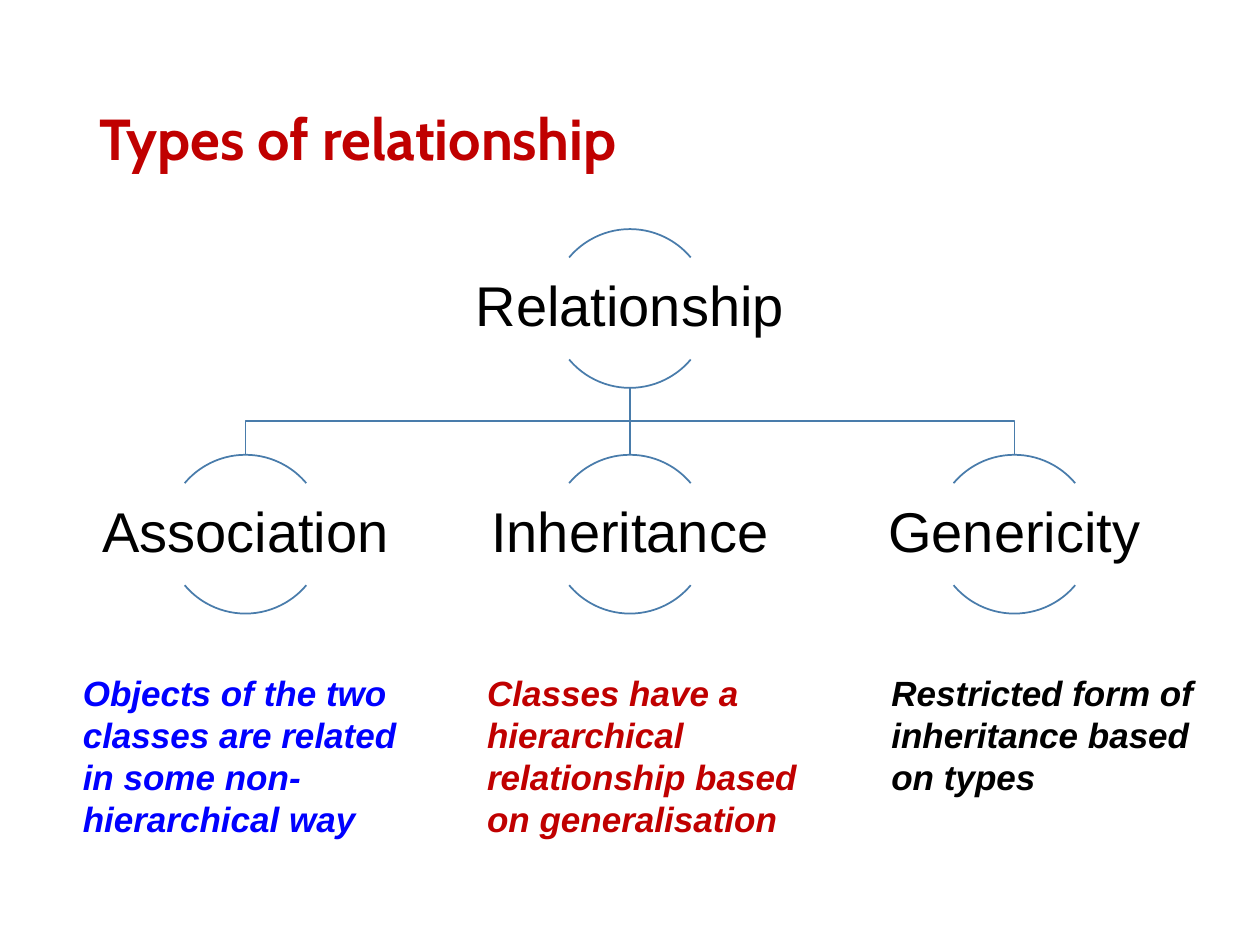
import pptx
import pptx.util
import pptx.dml.color
import pptx.enum.shapes
import pptx.enum.text
import lxml.etree
from pptx.util import Cm, Pt

COLORS = {"red": "C00000", "blue": "0000FF", "black": "000000", "line": "497CAB"}
ALIGN = pptx.enum.text.PP_ALIGN
ANCHOR = pptx.enum.text.MSO_ANCHOR
SHAPE = pptx.enum.shapes.MSO_SHAPE
LINK = pptx.enum.shapes.MSO_CONNECTOR


def rgb(name):
    return pptx.dml.color.RGBColor.from_string(COLORS[name])


class Diagram:
    """Holds the slide and the shared style."""
    DIAMETER = 3.2
    LABEL_W, LABEL_H = 6.4, 2.06
    ARCS = ((132, 192), (24, 84))  # top and bottom arc

    def __init__(self, s):
        self.s = s

    def outline(self, sp):
        sp.line.color.rgb = rgb("line")
        sp.line.width = Pt(1)

    def text(self, text, x, y, w, h, color="black", inset=None, frame=None, para=None, font=None):
        tf = self.s.shapes.add_textbox(Cm(x), Cm(y), Cm(w), Cm(h)).text_frame
        frame_format = {"word_wrap": True, **(frame or {})}
        if inset is not None:
            for side in ("left", "top", "right", "bottom"):
                frame_format["margin_" + side] = Cm(inset)
        p = tf.paragraphs[0]
        r = p.add_run()
        r.text = text
        r.font.color.rgb = rgb(color)
        for target, values in ((tf, frame_format), (p, para), (r.font, font)):
            for name, value in (values or {}).items():
                setattr(target, name, value)

    def node(self, text, cx, top):
        d = self.DIAMETER
        for angles in self.ARCS:
            sp = self.s.shapes.add_shape(SHAPE.ARC, Cm(cx - d / 2), Cm(top), Cm(d), Cm(d))
            sp.shadow.inherit = False
            sp.fill.background()
            self.outline(sp)
            for i, angle in enumerate(angles):
                sp.adjustments[i] = angle
        self.text(text, cx - self.LABEL_W / 2, top + (d - self.LABEL_H) / 2,
                  self.LABEL_W, self.LABEL_H, inset=0.05,
                  frame={"vertical_anchor": ANCHOR.MIDDLE},
                  para={"alignment": ALIGN.CENTER, "line_spacing": 0.9},
                  font={"name": "Arial", "size": Pt(32)})

    def branch(self, x1, y1, x2, y2):
        if x1 == x2:
            sp = self.s.shapes.add_connector(LINK.STRAIGHT, Cm(x1), Cm(y1), Cm(x2), Cm(y2))
            lxml.etree.SubElement(sp._element.spPr, pptx.oxml.ns.qn("a:effectLst"))
        else:
            mid = (y1 + y2) / 2
            fb = self.s.shapes.build_freeform(Cm(x1), Cm(y1))
            fb.add_line_segments([(Cm(x), Cm(y)) for x, y in ((x1, mid), (x2, mid), (x2, y2))],
                                 close=False)
            sp = fb.convert_to_shape()
            sp.fill.background()
            sp.shadow.inherit = False
        self.outline(sp)


prs = pptx.Presentation()
prs.slide_width, prs.slide_height = Cm(25.4), Cm(19.05)
d = Diagram(prs.slides.add_slide(prs.slide_layouts[6]))

# Title
d.text("Types of relationship", 1.75, 1.02, 21.9, 3.68, "red",
       frame={"vertical_anchor": ANCHOR.MIDDLE}, para={"line_spacing": 0.9},
       font={"name": "Cabin", "size": Pt(33), "bold": True})

# Tree with a caption under each kind
CENTER, PITCH = 12.7, 7.75
ROOT_TOP, KIND_TOP = 4.62, 9.17
CAPTION_X, CAPTION_PITCH = 1.42, 8.15
kinds = [
    ("Association", "blue",
     "Objects of the two classes are related in some non-hierarchical way"),
    ("Inheritance", "red",
     "Classes have a hierarchical relationship based on generalisation"),
    ("Genericity", "black", "Restricted form of inheritance based on types"),
]
d.node("Relationship", CENTER, ROOT_TOP)
for i, (kind, color, caption) in enumerate(kinds):
    cx = CENTER + (i - 1) * PITCH
    d.branch(CENTER, ROOT_TOP + d.DIAMETER, cx, KIND_TOP)
    d.node(kind, cx, KIND_TOP)
    d.text(caption, CAPTION_X + i * CAPTION_PITCH, 13.41, 7.16, 3.68, color,
           font={"name": "Arial", "size": Pt(20), "bold": True, "italic": True})

prs.save("out.pptx")
